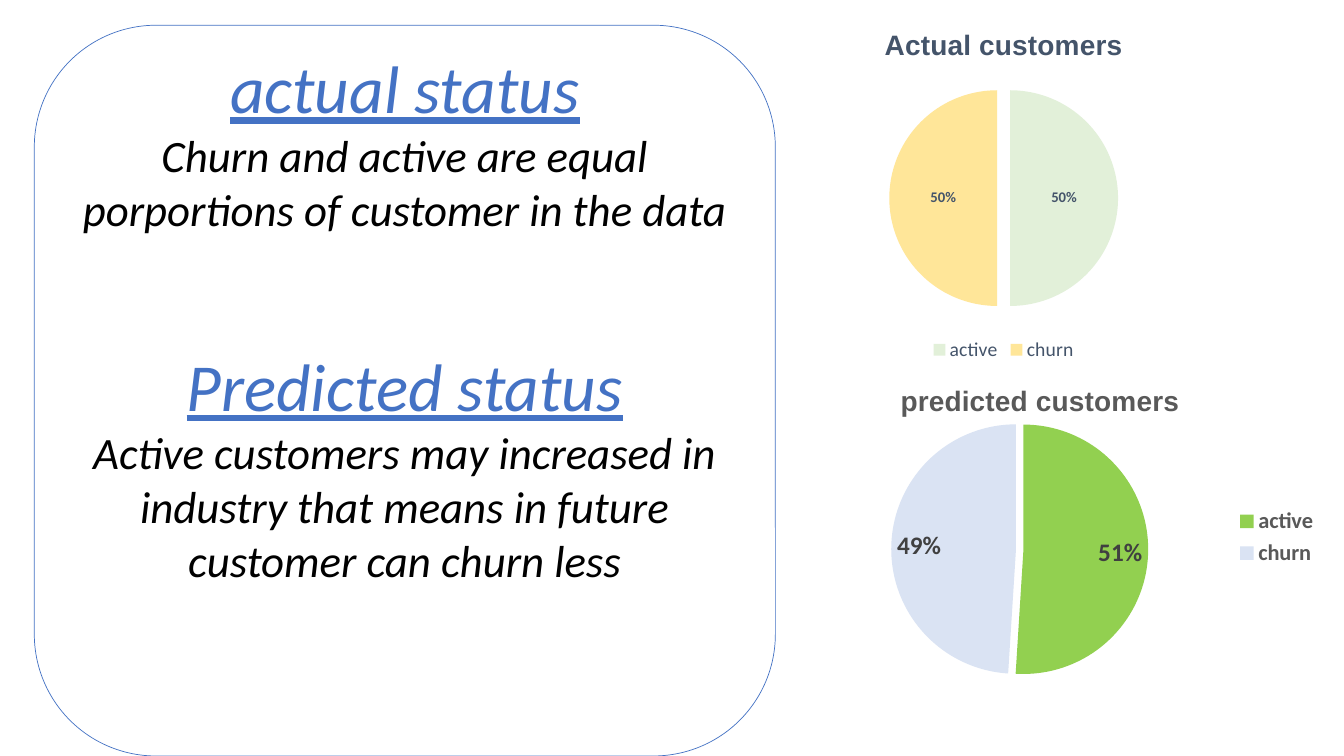
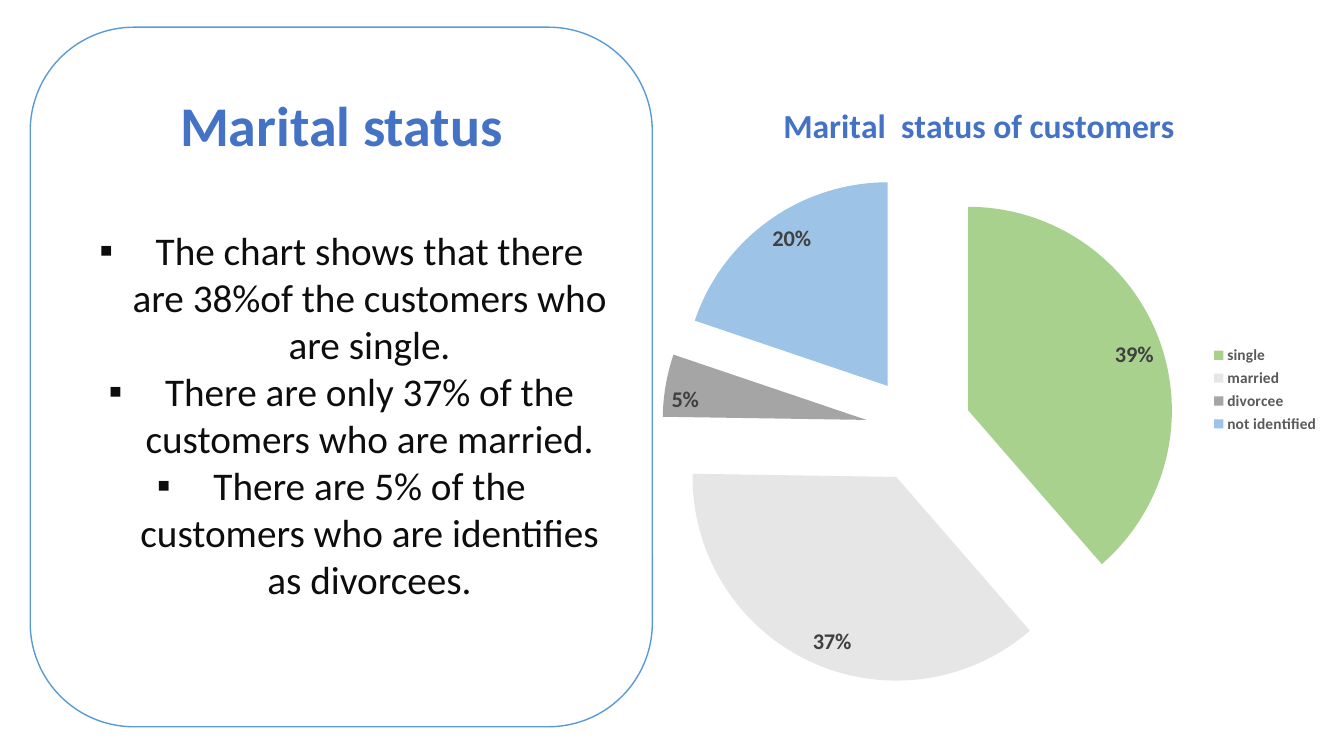
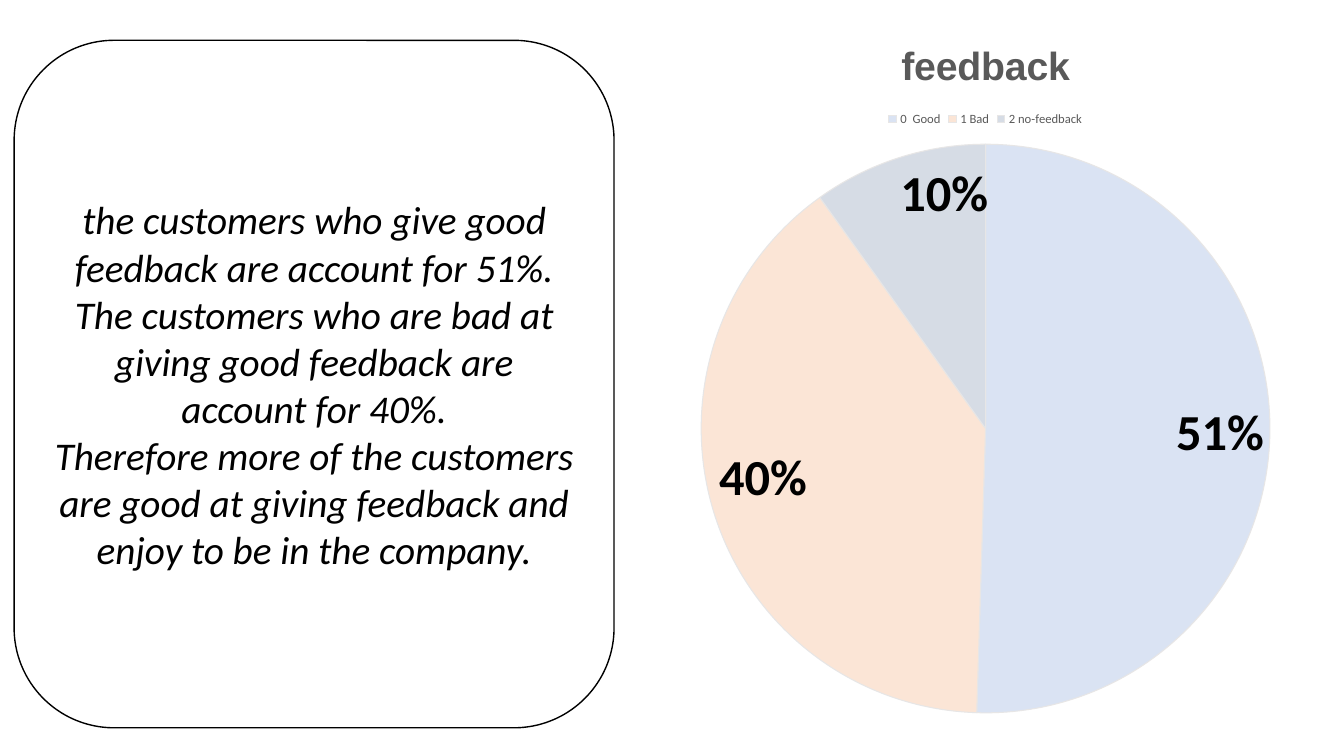
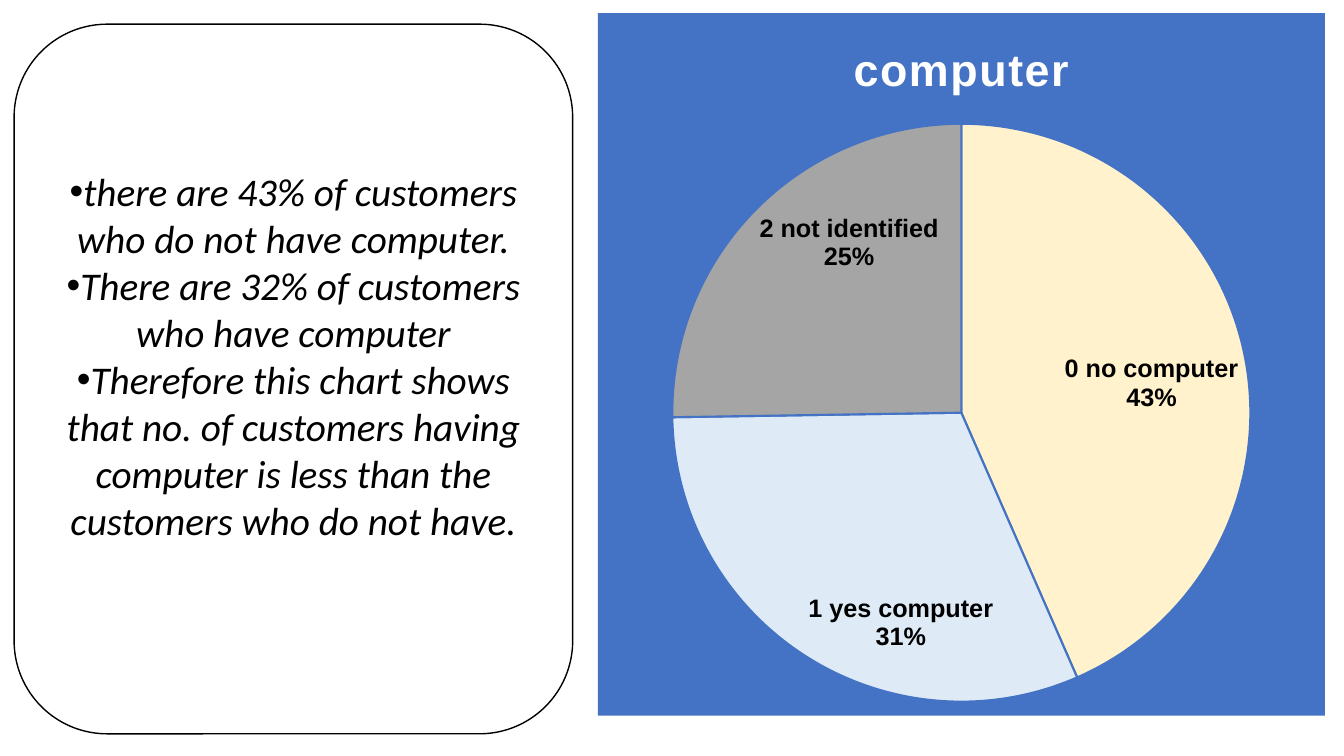
from dataclasses import dataclass

from lxml import etree
from pptx import Presentation
from pptx.chart import data as chart_data
from pptx.dml.color import RGBColor
from pptx.enum import chart as ch, shapes, text
from pptx.oxml import parse_xml
from pptx.oxml.ns import nsdecls, qn
from pptx.util import Inches, Pt


@dataclass(frozen=True)
class Theme:
    """Colours, fonts and type sizes of the deck."""
    body_font: str = "Calibri"
    title_font: str = "Arial"
    white: str = "FFFFFF"
    black: str = "000000"
    ink: str = "0D0D0D"
    blue: str = "4472C4"
    sky: str = "5B9BD5"
    slate: str = "44546A"
    gray: str = "595959"
    dark_gray: str = "404040"
    silver: str = "E7E6E6"
    mid_gray: str = "A5A5A5"
    pale_blue: str = "DAE3F3"
    heading: int = 48
    subheading: int = 40
    large: int = 32
    body: int = 28


THEME = Theme()


def style_font(font, color=None, **values):
    """Apply a dict of format values to a font."""
    for name, value in values.items():
        setattr(font, name, Pt(value) if name == "size" else value)
    if color:
        font.color.rgb = RGBColor.from_string(color)


def style_line(line, color=None, width=1):
    if color:
        line.color.rgb = RGBColor.from_string(color)
        line.width = Pt(width)
    else:
        line.fill.background()


def style_fill(fill, color):
    fill.solid()
    fill.fore_color.rgb = RGBColor.from_string(color)


class Deck:
    def __init__(self, theme):
        self.theme = theme
        self.prs = Presentation()
        self.prs.slide_width, self.prs.slide_height = Inches(13.33), Inches(7.5)
        self.slide = None

    def new_slide(self):
        self.slide = self.prs.slides.add_slide(self.prs.slide_layouts[6])

    def panel(self, box, line, paragraphs, room_below=0):
        """Rounded panel; room_below lifts its centred text."""
        panel = self.slide.shapes.add_shape(
            shapes.MSO_SHAPE.ROUNDED_RECTANGLE, *map(Inches, box))
        panel.shadow.inherit = False
        style_fill(panel.fill, self.theme.white)
        style_line(panel.line, *line)
        frame = panel.text_frame
        frame.word_wrap = True
        frame.vertical_anchor = text.MSO_ANCHOR.MIDDLE
        frame.margin_bottom = Inches(0.05 + room_below)
        for index, (wording, font, layout) in enumerate(paragraphs):
            para = frame.paragraphs[0] if index == 0 else frame.add_paragraph()
            self.paragraph(para, wording, font, **layout)

    def paragraph(self, para, wording, font, before=0, bullet=None, indent=0):
        para.alignment = text.PP_ALIGN.CENTER
        para.space_before = Pt(before)
        run = para.add_run()
        run.text = wording
        style_font(run.font, **{"name": self.theme.body_font, **font})
        if bullet:
            props = para._p.get_or_add_pPr()
            props.set("marL", str(Inches(indent)))
            props.set("indent", str(-Inches(indent)))
            etree.SubElement(props, qn("a:buFont")).set("typeface", "Arial")
            etree.SubElement(props, qn("a:buChar")).set("char", bullet)

    def pie(self, box, title, title_font, slices, labels, legend=None, explosion=0,
            line=(), plot_area=None, background=None, by_value=False,
            categories=False, position=ch.XL_LABEL_POSITION.INSIDE_END, spacing=0):
        """Pie chart; slices are (category, value, colour)."""
        data = chart_data.CategoryChartData()
        data.categories = [name for name, _, _ in slices]
        data.add_series("Series 1", [value for _, value, _ in slices])
        chart = self.slide.shapes.add_chart(
            ch.XL_CHART_TYPE.PIE, *map(Inches, box), data).chart
        style_font(chart.font, name=self.theme.body_font, size=10, color=self.theme.black)

        # Title
        chart.has_title = True
        chart.chart_title.include_in_layout = False
        title_para = chart.chart_title.text_frame.paragraphs[0]
        title_run = title_para.add_run()
        title_run.text = title
        style_font(title_run.font, **{"name": self.theme.title_font, "bold": True,
                                      **title_font})
        if spacing:
            title_run.font._element.set("spc", str(spacing))

        # Slices
        series = chart.plots[0].series[0]
        if explosion:
            offset = parse_xml(f'<c:explosion {nsdecls("c")} val="{explosion}"/>')
            series._element.find(qn("c:tx")).addnext(offset)
        for index, (_, _, color) in enumerate(slices):
            point = series.points[index].format
            style_fill(point.fill, color)
            style_line(point.line, *line)

        # Labels
        data_labels = series.data_labels
        data_labels.show_percentage = not by_value
        data_labels.show_value = by_value
        data_labels.show_category_name = categories
        data_labels.number_format = '0"%"' if by_value else "0%"
        data_labels.number_format_is_linked = False
        data_labels.position = position
        style_font(data_labels.font, **{"name": self.theme.body_font, "bold": True,
                                        **labels})
        if categories:
            separator = parse_xml(f'<c:separator {nsdecls("c")}>\n</c:separator>')
            data_labels._element.find(qn("c:showPercent")).getparent().find(
                qn("c:showBubbleSize")).addnext(separator)

        # Legend
        chart.has_legend = legend is not None
        if legend:
            place, legend_font = legend
            chart.legend.position = place
            chart.legend.include_in_layout = False
            style_font(chart.legend.font, name=self.theme.body_font, **legend_font)

        if plot_area:
            self.place_plot(chart, plot_area)
        if background:
            chart._chartSpace.find(qn("c:chart")).addnext(parse_xml(
                f'<c:spPr {nsdecls("c", "a")}><a:solidFill><a:srgbClr val="{background}"/>'
                f'</a:solidFill><a:ln><a:noFill/></a:ln></c:spPr>'))

    @staticmethod
    def place_plot(chart, fractions):
        """Fix the inner plot area as fractions of the chart."""
        parts = '<c:layoutTarget val="inner"/><c:xMode val="edge"/><c:yMode val="edge"/>'
        parts += "".join(f'<c:{side} val="{share}"/>' for side, share in zip("xywh", fractions))
        plot_area = chart._chartSpace.find(qn("c:chart")).find(qn("c:plotArea"))
        for old in plot_area.findall(qn("c:layout")):
            plot_area.remove(old)
        plot_area.insert(0, parse_xml(
            f'<c:layout {nsdecls("c")}><c:manualLayout>{parts}</c:manualLayout></c:layout>'))


def status_slide(deck, t):
    deck.new_slide()
    deck.pie((6.91, 0.09, 6.09, 3.54), "Actual customers", dict(size=20, color=t.slate),
             [("active", 50, "E2F0D9"), ("churn", 50, "FFE699")],
             dict(size=10.5, color=t.slate),
             legend=(ch.XL_LEGEND_POSITION.BOTTOM, dict(size=14, color=t.slate)),
             explosion=6, position=ch.XL_LABEL_POSITION.CENTER)
    deck.pie((7.45, 3.63, 5.73, 3.4), "predicted customers", dict(size=20, color=t.gray),
             [("active", 51, "92D050"), ("churn", 49, t.pale_blue)],
             dict(size=18, color=t.dark_gray),
             legend=(ch.XL_LEGEND_POSITION.RIGHT, dict(size=16, color=t.gray, bold=True)),
             explosion=3, plot_area=(0.12, 0.16, 0.69, 0.75))
    heading = dict(size=t.heading, color=t.blue, italic=True, underline=True)
    body = dict(size=t.large, color=t.black, italic=True)
    deck.panel((0.34, 0.25, 7.35, 7.25), (t.blue, 0.5), [
        ("actual status", heading, {}),
        ("Churn and active are equal porportions of customer in the data", body, {}),
        ("Predicted status", heading, dict(before=78)),
        ("Active customers may increased in industry that means in future "
         "customer can churn less", body, {}),
    ], room_below=1.47)


def marital_slide(deck, t):
    deck.new_slide()
    deck.pie((6.23, 0.79, 6.96, 6.15), "Marital  status of customers",
             dict(name=t.body_font, size=24, color=t.blue),
             [("single", 39, "A9D18E"), ("married", 37, t.silver),
              ("divorcee", 5, t.mid_gray), ("not identified", 20, "9DC3E6")],
             dict(size=16, color=t.dark_gray),
             legend=(ch.XL_LEGEND_POSITION.RIGHT, dict(size=11, color=t.gray, bold=True)),
             explosion=26)
    body = dict(size=t.body, color=t.ink)
    square = dict(bullet="▪", indent=0.56)
    deck.panel((0.3, 0.27, 6.17, 6.94), (t.sky, 1), [
        ("Marital status", dict(size=t.subheading, color=t.blue, bold=True), {}),
        ("The chart shows that there are 38%of the customers who are single.",
         body, dict(before=49, **square)),
        ("There are only 37% of the customers who are married.", body, square),
        ("There are 5% of the customers who are identifies as divorcees.", body, square),
    ], room_below=0.6)


def feedback_slide(deck, t):
    deck.new_slide()
    deck.pie((6.22, 0.14, 7.11, 7.07), "feedback", dict(size=28, color=t.gray),
             [("0  Good", 51, t.pale_blue), ("1 Bad", 40, "FBE5D6"),
              ("2 no-feedback", 10, "D6DCE5")],
             dict(size=36, color=t.black),
             legend=(ch.XL_LEGEND_POSITION.TOP, dict(size=9, color=t.gray)),
             line=(t.silver, 0.75), by_value=True)
    body = dict(size=t.body, color=t.black, italic=True)
    deck.panel((0.14, 0.4, 5.95, 6.82), (t.black, 1), [(wording, body, {}) for wording in (
        "the customers who give good feedback are account for 51%.",
        "The customers who are bad at giving good feedback are account for 40%.",
        "Therefore more of the customers are good at giving feedback and enjoy "
        "to be in the company.")])


def computer_slide(deck, t):
    deck.new_slide()
    deck.pie((5.93, 0.13, 7.21, 6.97), "computer", dict(size=32, color=t.white),
             [("0 no computer", 43, "FFF2CC"), ("1 yes computer", 31, "DEEBF7"),
              ("2 not identified", 25, t.mid_gray)],
             dict(name=t.title_font, size=18, color=t.black),
             line=(t.blue, 1.5), background=t.blue, categories=True, spacing=100)
    body = dict(size=t.body, color=t.black, italic=True)
    deck.panel((0.14, 0.24, 5.54, 7.04), (t.black, 1), [
        (wording, body, dict(bullet="•")) for wording in (
            "there are 43% of customers who do not have computer.",
            "There are 32% of customers who have computer",
            "Therefore this chart shows that no. of customers having computer is "
            "less than the customers who do not have.")], room_below=0.47)


def main():
    deck = Deck(THEME)
    for build in (status_slide, marital_slide, feedback_slide, computer_slide):
        build(deck, THEME)
    deck.prs.save("out.pptx")


if __name__ == "__main__":
    main()
